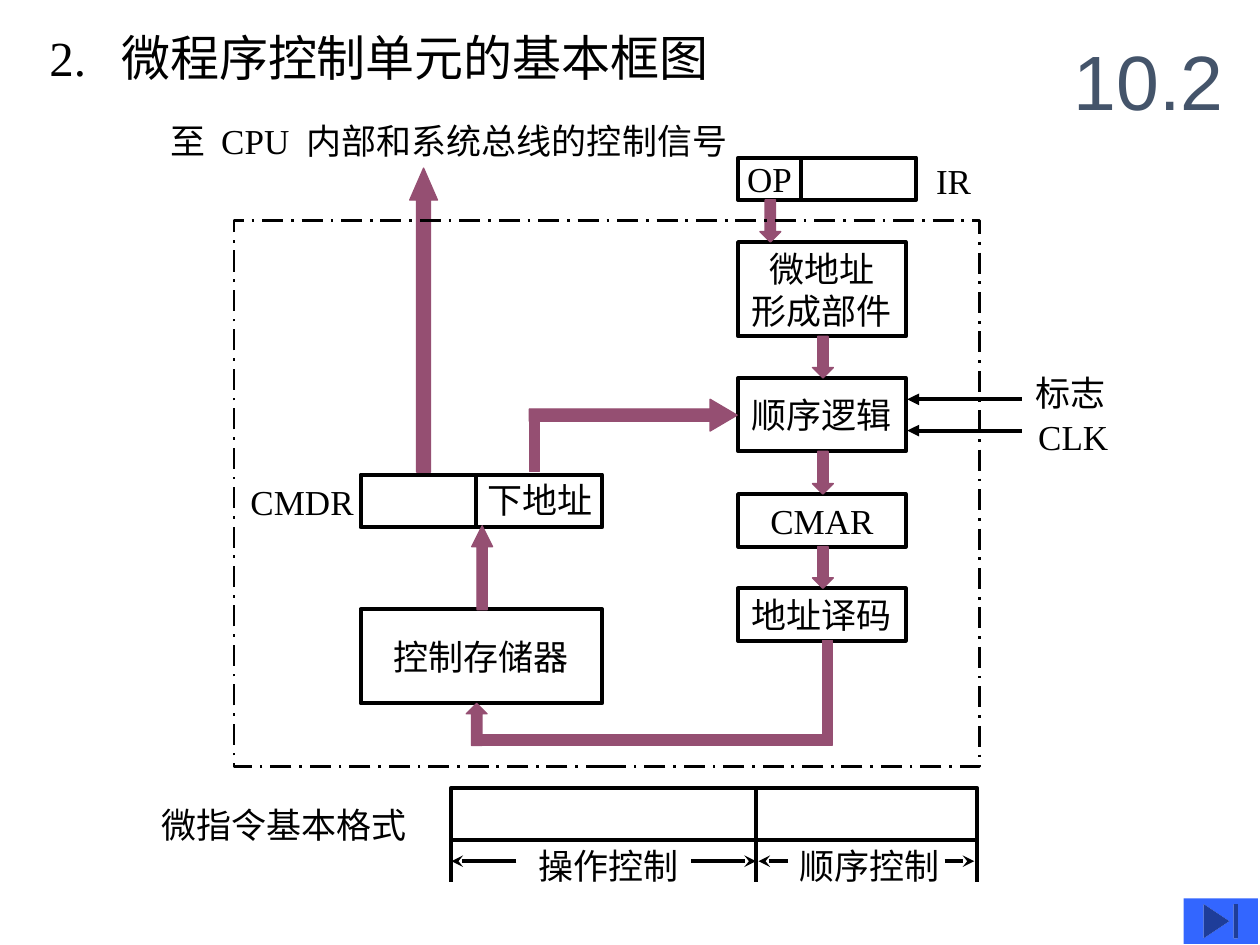
from lxml.etree import SubElement
from pptx import Presentation
from pptx.dml.color import RGBColor
from pptx.enum.dml import MSO_LINE
from pptx.enum.shapes import MSO_CONNECTOR, MSO_SHAPE
from pptx.enum.text import MSO_ANCHOR, MSO_AUTO_SIZE, PP_ALIGN
from pptx.oxml.ns import qn
from pptx.util import Cm, Pt

BLACK, PLUM, SLATE, BLUE = "000000", "954F72", "44546A", "3366FF"
SERIF = "Times New Roman"
LABEL_H = 1.12
ARROW_W = 0.42  # width of the short flow arrows
BAR = 0.21      # thickness of the flow bars


def color(hex_code):
    return RGBColor.from_string(hex_code)


def lengths(*values):
    return [Cm(value) for value in values]


def write(frame, text, align=PP_ALIGN.LEFT, anchor=MSO_ANCHOR.TOP, wrap=False,
          size=20, font=SERIF, ink=BLACK, tabs=()):
    frame.text = text
    frame.auto_size = MSO_AUTO_SIZE.NONE
    frame.word_wrap = wrap
    frame.vertical_anchor = anchor
    for paragraph in frame.paragraphs:
        paragraph.alignment = align
        if tabs:
            tab_list = SubElement(paragraph._p.get_or_add_pPr(), qn("a:tabLst"))
            for stop in tabs:
                SubElement(tab_list, qn("a:tab"), pos=str(Cm(stop)), algn="l")
        paragraph.font.size = Pt(size)
        paragraph.font.name = font
        paragraph.font.color.rgb = color(ink)


def label(slide, x, y, w, text, h=LABEL_H, **style):
    frame = slide.shapes.add_textbox(*lengths(x, y, w, h)).text_frame
    write(frame, text, **style)


def box(slide, x, y, w, h, text="", width=2.25):
    shape = slide.shapes.add_shape(MSO_SHAPE.RECTANGLE, *lengths(x, y, w, h))
    shape.shadow.inherit = False
    shape.fill.background()
    shape.line.color.rgb = color(BLACK)
    shape.line.width = Pt(width)
    if text:
        write(shape.text_frame, text, PP_ALIGN.CENTER, MSO_ANCHOR.MIDDLE)
    return shape


def flow(slide, kind, x, y, w, h, adjustments=()):
    shape = slide.shapes.add_shape(kind, *lengths(x, y, w, h))
    shape.shadow.inherit = False
    shape.fill.solid()
    shape.fill.fore_color.rgb = color(PLUM)
    shape.line.color.rgb = color(PLUM)
    shape.line.width = Pt(0.75)
    for index, value in enumerate(adjustments):
        shape.adjustments[index] = value


def line(slide, x1, y1, x2, y2, head=None):
    connector = slide.shapes.add_connector(MSO_CONNECTOR.STRAIGHT, *lengths(x1, y1, x2, y2))
    connector.line.color.rgb = color(BLACK)
    connector.line.width = Pt(2.25)
    if head:
        SubElement(connector.line._get_or_add_ln(), qn("a:tailEnd"), type=head)
    SubElement(connector._element.spPr, qn("a:effectLst"))


def heading(slide, x, y, w, h):
    title = slide.shapes.title
    title.left, title.top, title.width, title.height = lengths(x, y, w, h)
    write(title.text_frame, "2.\t微程序控制单元的基本框图", size=28, tabs=[1.45])
    # Section number
    label(slide, x + 20.65, y, 4.01, "10.2", h=2.34, anchor=MSO_ANCHOR.MIDDLE,
          wrap=True, size=44, font="Arial", ink=SLATE)


def instruction_register(slide, x, y, h):
    op_w = 1.27
    box(slide, x, y, op_w, h, "OP")
    box(slide, x + op_w, y, 2.32, h)
    label(slide, x + 3.74, y - 0.08, 2.11, "IR", wrap=True)
    flow(slide, MSO_SHAPE.DOWN_ARROW, x + 0.44, y + h, ARROW_W, 0.85)


def address_chain(slide, x, y, w):
    stages = [("微地址\n形成部件", 0, 1.9), ("顺序逻辑", 2.74, 1.48),
              ("CMAR", 5.08, 1.06), ("地址译码", 6.98, 1.06)]
    for text, top, h in stages:
        box(slide, x, y + top, w, h, text)
    # Each arrow fills the gap between two stages
    for (_, top, h), (_, next_top, _) in zip(stages, stages[1:]):
        flow(slide, MSO_SHAPE.DOWN_ARROW, x + 1.5, y + top + h, ARROW_W, next_top - top - h)


def control_memory(slide, x, y, w):
    # CMDR with its next-address field
    cmdr_h, store_top, store_h = 1.06, 2.71, 1.9
    box(slide, x, y, w, cmdr_h)
    line(slide, x + 2.33, y, x + 2.33, y + cmdr_h)
    label(slide, x + 2.31, y - 0.04, 2.62, "下地址")
    label(slide, x - 2.47, y, 2.59, "CMDR")
    # Control store and its read path
    box(slide, x, y + store_top, w, store_h, "控制存储器")
    flow(slide, MSO_SHAPE.UP_ARROW, x + 2.24, y + 1.03, ARROW_W, 1.69, (0.5, 1))
    # Control signals leaving the unit
    flow(slide, MSO_SHAPE.UP_ARROW, x + 0.99, y - 6.18, 0.56, 6.13, (0.5, 1.15))
    label(slide, x - 4.09, y - 7.28, 12.7, "至\tCPU\t内部和系统总线的控制信号",
          wrap=True, tabs=[1.03, 2.75])


def feedback_paths(slide, x, y):
    # Next address to the sequencing logic
    flow(slide, MSO_SHAPE.RIGHT_ARROW, x + 1.27, y, 4.19, 0.64, (0.39, 0.85))
    flow(slide, MSO_SHAPE.RECTANGLE, x + 1.27, y + 0.23, BAR, 1.22)
    # Decoded address to the control store
    flow(slide, MSO_SHAPE.RECTANGLE, x + 7.18, y + 4.86, BAR, 2.11)
    flow(slide, MSO_SHAPE.RECTANGLE, x + 0.2, y + 6.76, 7, BAR)
    flow(slide, MSO_SHAPE.UP_ARROW, x, y + 6.13, ARROW_W, 0.85)


def unit_boundary(slide, x, y, w, h):
    box(slide, x, y, w, h, width=1.5).line.dash_style = MSO_LINE.LONG_DASH_DOT


def external_inputs(slide, x, y, w):
    for offset in (0, 0.63):
        line(slide, x + w, y + offset, x, y + offset, "triangle")
    label(slide, x + w + 0.02, y - 0.68, 1.9, "标志")
    label(slide, x + w + 0.08, y + 0.21, 1.9, "CLK")


def instruction_format(slide, x, y, h):
    label(slide, x, y + 0.2, 5.46, "微指令基本格式")
    edges = [x + 6.1, x + 12.24, x + 16.69]
    for left, right in zip(edges, edges[1:]):
        box(slide, left, y, right - left, h)
    for edge in edges:
        line(slide, edge, y + 0.84, edge, y + 1.9)
    # Field names between outward arrows: name, label left, arrow length, gap at edge
    fields = [("操作控制", 1.5, 1.31, 0), ("顺序控制", 0.63, 0.6, 0.05)]
    arrow_y = y + 1.48
    for (text, inset, length, gap), left, right in zip(fields, edges, edges[1:]):
        label(slide, left + inset, y + 1.02, 3.33, text)
        line(slide, left + gap + length, arrow_y, left + gap, arrow_y, "stealth")
        line(slide, right - gap - length, arrow_y, right - gap, arrow_y, "stealth")


def end_button(slide, x, y, w, h):
    button = slide.shapes.add_shape(MSO_SHAPE.ACTION_BUTTON_END, *lengths(x, y, w, h))
    button.shadow.inherit = False
    button.fill.solid()
    button.fill.fore_color.rgb = color(BLUE)
    button.line.fill.background()


def main():
    deck = Presentation()
    deck.slide_width, deck.slide_height = lengths(25.4, 19.05)
    slide = deck.slides.add_slide(deck.slide_layouts[5])
    heading(slide, 0.74, 0.43, 13.82, 1.45)
    address_chain(slide, 14.88, 4.88, 3.38)
    instruction_register(slide, 14.88, 3.18, 0.85)
    control_memory(slide, 7.27, 9.57, 4.87)
    feedback_paths(slide, 9.4, 8.05)
    unit_boundary(slide, 4.72, 4.45, 15.03, 11)
    external_inputs(slide, 18.29, 8.05, 2.31)
    instruction_format(slide, 3, 15.88, 1.06)
    end_button(slide, 23.86, 18.11, 1.5, 0.92)
    deck.save("out.pptx")


if __name__ == "__main__":
    main()
